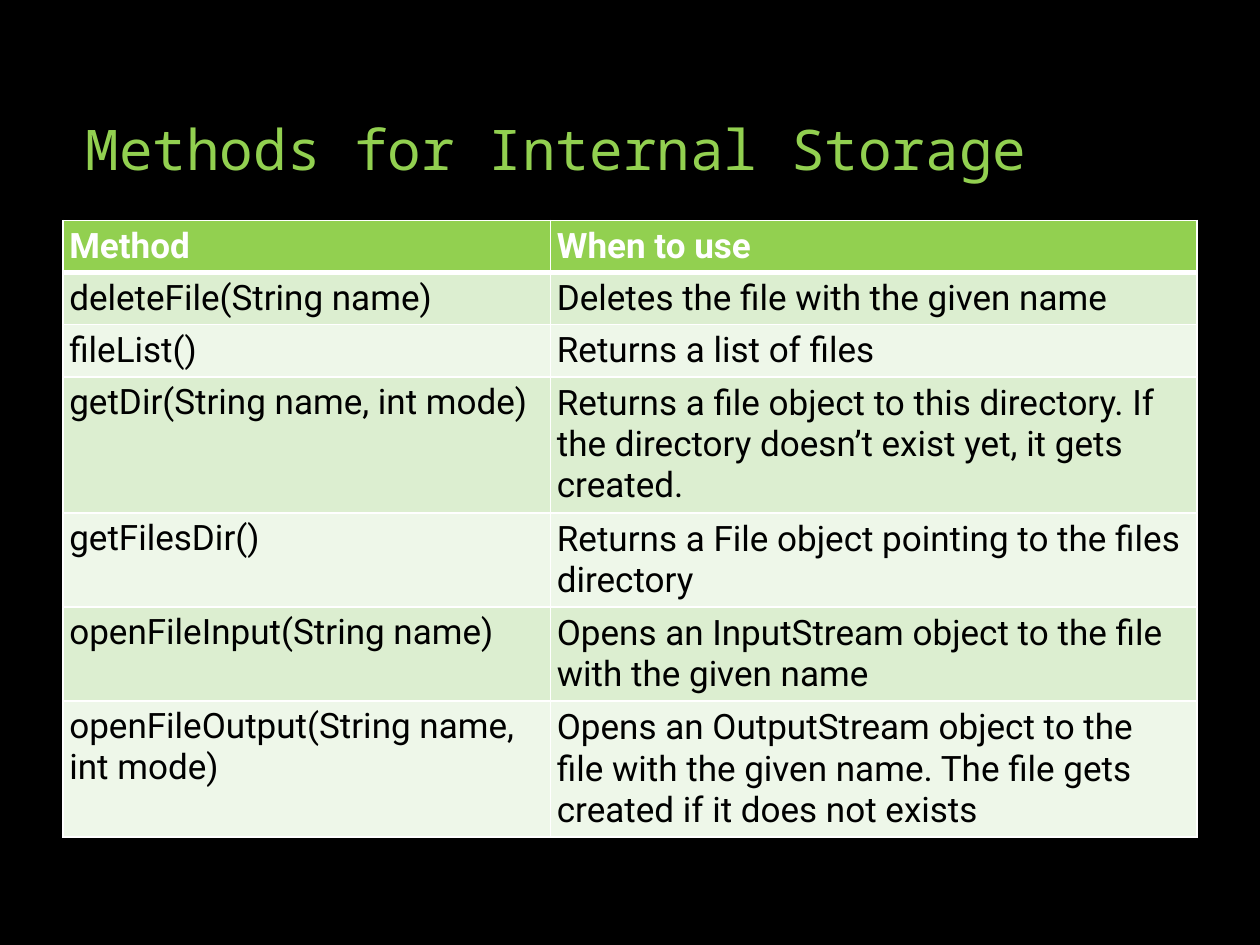
from dataclasses import dataclass

from pptx import Presentation
from pptx.dml.color import RGBColor
from pptx.enum.text import MSO_ANCHOR
from pptx.oxml import parse_xml
from pptx.oxml.ns import nsdecls
from pptx.util import Inches, Pt


@dataclass(frozen=True)
class Theme:
    back: str = "000000"
    green: str = "92D050"
    dark: str = "DCEED0"
    light: str = "EEF7E9"
    white: str = "FFFFFF"
    black: str = "000000"
    mono: str = "Noto Sans Mono"
    sans: str = "Roboto"
    head: int = 32
    body: int = 20


theme = Theme()


def write(frame, text, font, size, color, bold=False):
    """Add one styled run to the first paragraph and return the paragraph."""
    para = frame.paragraphs[0]
    run = para.add_run()
    run.text = text
    run.font.name = font
    run.font.size = Pt(size)
    run.font.bold = bold
    run.font.color.rgb = RGBColor.from_string(color)
    return para


def edge(cell, side, width):
    """Draw a white border on one side (L, R, T or B) of a cell."""
    cell._tc.get_or_add_tcPr().append(parse_xml(
        f'<a:ln{side} {nsdecls("a")} w="{Pt(width)}"><a:solidFill>'
        f'<a:srgbClr val="{theme.white}"/></a:solidFill></a:ln{side}>'))


deck = Presentation()
deck.slide_width = Inches(10)
deck.slide_height = Inches(7.5)
slide = deck.slides.add_slide(deck.slide_layouts[6])
slide.background.fill.solid()
slide.background.fill.fore_color.rgb = RGBColor.from_string(theme.back)

# Title
title = slide.shapes.add_textbox(Inches(0.58), Inches(0.5), Inches(8.67), Inches(1))
frame = title.text_frame
frame.word_wrap = True
frame.vertical_anchor = MSO_ANCHOR.BOTTOM
para = write(frame, "Methods for Internal Storage", theme.mono, theme.head, theme.green)
para.line_spacing = 0.9

# Table of methods
rows = [
    ("Method", "When to use"),
    ("deleteFile(String name)", "Deletes the file with the given name"),
    ("fileList()", "Returns a list of files"),
    ("getDir(String name, int mode)",
     "Returns a file object to this directory. If the directory doesn’t exist yet, "
     "it gets created."),
    ("getFilesDir()", "Returns a File object pointing to the files directory"),
    ("openFileInput(String name)",
     "Opens an InputStream object to the file with the given name"),
    ("openFileOutput(String name, int mode)",
     "Opens an OutputStream object to the file with the given name. "
     "The file gets created if it does not exists"),
]
widths = [3.87, 5.13]
high = 0.41
table = slide.shapes.add_table(
    len(rows), len(widths), Inches(0.5), Inches(1.75),
    Inches(sum(widths)), Inches(high * len(rows))).table
for col, width in zip(table.columns, widths):
    col.width = Inches(width)

for r, row in enumerate(rows):
    table.rows[r].height = Inches(high)
    top = r == 0
    fill = theme.green if top else theme.dark if r % 2 else theme.light
    for c, text in enumerate(row):
        cell = table.cell(r, c)
        cell.margin_left, cell.margin_right = Inches(0.05), Inches(0.1)
        cell.margin_top = cell.margin_bottom = Inches(0.04)
        cell.vertical_anchor = MSO_ANCHOR.MIDDLE if top or c else MSO_ANCHOR.TOP
        for side in "LRTB":
            edge(cell, side, 3 if top and side == "B" else 1)
        cell.fill.solid()
        cell.fill.fore_color.rgb = RGBColor.from_string(fill)
        write(cell.text_frame, text, theme.sans, theme.body,
              theme.white if top else theme.black, top)

deck.save("out.pptx")
